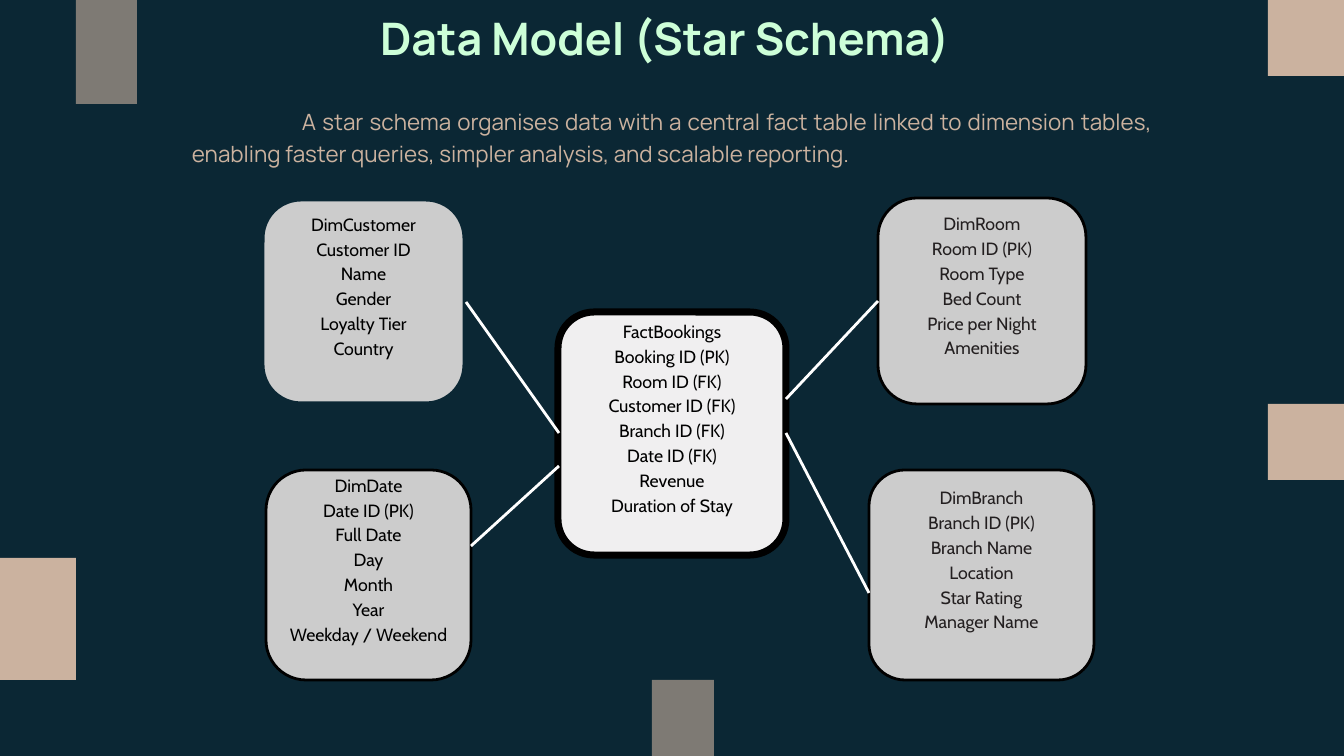
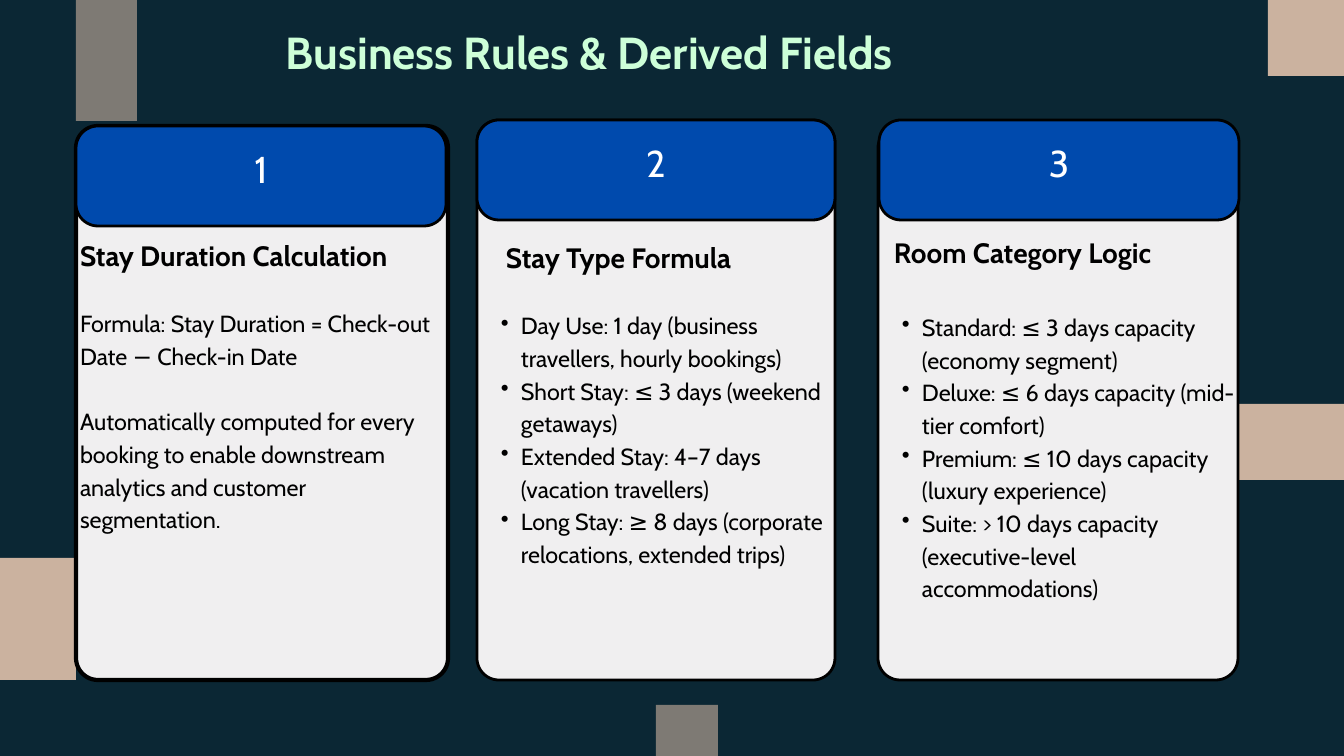
"""Build two slides on a hotel booking data model: star schema and business rules."""
from lxml import etree
from pptx import Presentation
from pptx import util as u
from pptx.dml.color import RGBColor
from pptx.enum import shapes, text
from pptx.oxml import ns

PX = 914400 / 67.2
NAVY = RGBColor(0x0B, 0x27, 0x34)
TAN = RGBColor(0xCB, 0xB2, 0x9F)
MINT = RGBColor(0xCD, 0xFF, 0xD8)
BLUE = RGBColor(0x00, 0x4A, 0xAD)
GREY = RGBColor(0xCC, 0xCC, 0xCC)
PALE = RGBColor(0xF0, 0xEF, 0xF0)
WHITE = RGBColor(0xFF, 0xFF, 0xFF)
BLACK = RGBColor(0x00, 0x00, 0x00)
INK = RGBColor(0x23, 0x1F, 0x20)
CENTER = text.PP_ALIGN.CENTER
LEFT = text.PP_ALIGN.LEFT
JUSTIFY = text.PP_ALIGN.JUSTIFY


def add_box(s, bounds, fill=None, line=None, width=3, radius=0, alpha=100, inset=4):
    """Add a filled box, or a plain text box when there is no fill."""
    x, y, w, h = [u.Emu(round(v * PX)) for v in bounds]
    if fill is None:
        sp = s.shapes.add_textbox(x, y, w, h)
    else:
        kind = shapes.MSO_SHAPE.ROUNDED_RECTANGLE if radius else shapes.MSO_SHAPE.RECTANGLE
        sp = s.shapes.add_shape(kind, x, y, w, h)
        sp.shadow.inherit = False
        sp.fill.solid()
        sp.fill.fore_color.rgb = fill
        if radius:
            sp.adjustments[0] = radius / min(bounds[2:])
        if alpha < 100:
            color = sp.fill._xPr.find(".//" + ns.qn("a:srgbClr"))
            etree.SubElement(color, ns.qn("a:alpha"), val=str(alpha * 1000))
        if line is None:
            sp.line.fill.background()
        else:
            sp.line.color.rgb = line
            sp.line.width = u.Pt(width)
    tf = sp.text_frame
    tf.word_wrap = True
    tf.margin_left = u.Emu(round(inset * PX))
    tf.margin_right = tf.margin_left // 2
    tf.margin_top = tf.margin_bottom = 0
    return sp


def add_text(tf, words, size, color, spacing, font="Cabin", bold=False, align=LEFT,
             before=0, margin=0, indent=0, bullet=False):
    """Add one paragraph, using the first one while the frame is empty."""
    p = tf.add_paragraph() if tf.text else tf.paragraphs[0]
    p.alignment = align
    p.line_spacing = u.Pt(spacing)
    if before:
        p.space_before = u.Pt(before)
    pPr = p._p.get_or_add_pPr()
    pPr.set("marL", str(round(margin * PX)))
    pPr.set("indent", str(round(indent * PX)))
    if bullet:
        etree.SubElement(pPr, ns.qn("a:buChar"), char="•")
    r = p.add_run()
    r.text = words
    r.font.name = font
    r.font.size = u.Pt(size)
    r.font.bold = bold
    r.font.color.rgb = color


prs = Presentation()
prs.slide_width, prs.slide_height = u.Inches(20), u.Inches(11.25)

SHARED_BLOCKS = [(1268, 0, 76, 76), (0, 558, 76, 122)]
SLIDES = [
    dict(title="Data Model (Star Schema)", font="Manrope", align=CENTER,
         at=(185, 2, 960, 63), bands=[(652, 680, 62, 76), (76, 0, 61, 104)],
         right=(1268, 404, 76, 76)),
    dict(title="Business Rules & Derived Fields", font="Cabin", align=LEFT,
         at=(286, 16, 772, 60), bands=[(656, 705, 62, 51), (76, 0, 61, 121)],
         right=(1239, 404, 105, 76)),
]
for look in SLIDES:
    s = prs.slides.add_slide(prs.slide_layouts[6])
    s.background.fill.solid()
    s.background.fill.fore_color.rgb = NAVY
    for block in SHARED_BLOCKS + [look["right"]]:
        add_box(s, block, TAN)
    for band in look["bands"]:
        add_box(s, band, TAN, alpha=60)
    tf = add_box(s, look["at"], inset=0).text_frame
    add_text(tf, look["title"], 48, MINT, 67.2, look["font"], True, look["align"])

schema, rules = prs.slides

intro = add_box(schema, (192, 104, 960, 64), inset=0).text_frame
add_text(intro, "A star schema organises data with a central fact table linked to dimension "
         "tables, enabling faster queries, simpler analysis, and scalable reporting.",
         24, TAN, 33.6, "Manrope", align=JUSTIFY, indent=110)

TABLES = [
    ((558, 312, 228, 243), PALE, BLACK, 7.5, 36, BLACK,
     ["FactBookings", "Booking ID (PK)", "Room ID (FK)", "Customer ID (FK)",
      "Branch ID (FK)", "Date ID (FK)", "Revenue", "Duration of Stay"]),
    ((266, 470, 205, 210), GREY, BLACK, 3, 40, BLACK,
     ["DimDate", "Date ID (PK)", "Full Date", "Day", "Month", "Year", "Weekday / Weekend"]),
    ((878, 198, 208, 206), GREY, BLACK, 3, 39, INK,
     ["DimRoom", "Room ID (PK)", "Room Type", "Bed Count", "Price per Night", "Amenities"]),
    ((261, 198, 205, 207), GREY, NAVY, 7.5, 40, BLACK,
     ["DimCustomer", "Customer ID", "Name", "Gender", "Loyalty Tier", "Country"]),
    ((869, 470, 225, 210), GREY, BLACK, 3, 36, INK,
     ["DimBranch", "Branch ID (PK)", "Branch Name", "Location", "Star Rating",
      "Manager Name"]),
]
ROW = 26.6 / 72 * 67.2
for (x, y, w, h), fill, line, width, radius, color, fields in TABLES:
    add_box(schema, (x, y, w, h), fill, line, width, radius)
    rows_height = len(fields) * ROW
    top = y + h / 2 - 17 - rows_height / 2
    tf = add_box(schema, (x, top, w, rows_height), inset=0).text_frame
    for field in fields:
        add_text(tf, field, 19, color, 26.6, align=CENTER)

LINKS = [(466, 302, 559, 433), (786, 433, 869, 593),
         (471, 546, 559, 466), (786, 399, 878, 301)]
for link in LINKS:
    ends = [u.Emu(round(v * PX)) for v in link]
    cx = schema.shapes.add_connector(shapes.MSO_CONNECTOR.STRAIGHT, *ends)
    cx.line.color.rgb = WHITE
    cx.line.width = u.Pt(3)
    etree.SubElement(cx._element.spPr, ns.qn("a:effectLst"))

CARDS = [
    dict(card=(76, 126, 372, 554), header=(76, 126, 370, 100), width=4.5,
         heading="Stay Duration Calculation", top=233, margin=0, gap=35, bullets=False,
         body=["Formula: Stay Duration = Check-out Date − Check-in Date",
               "Automatically computed for every booking to enable downstream analytics "
               "and customer segmentation."]),
    dict(card=(477, 120, 358, 560), header=(477, 120, 358, 100), width=3,
         heading="Stay Type Formula", top=235, margin=25, gap=35, bullets=True,
         body=["Day Use: 1 day (business travellers, hourly bookings)",
               "Short Stay: ≤ 3 days (weekend getaways)",
               "Extended Stay: 4–7 days (vacation travellers)",
               "Long Stay: ≥ 8 days (corporate relocations, extended trips)"]),
    dict(card=(878, 126, 360, 554), header=(879, 120, 360, 100), width=3,
         heading="Room Category Logic", top=230, margin=12, gap=42, bullets=True,
         body=["Standard: ≤ 3 days capacity (economy segment)",
               "Deluxe: ≤ 6 days capacity (mid-tier comfort)",
               "Premium: ≤ 10 days capacity (luxury experience)",
               "Suite: > 10 days capacity (executive-level accommodations)"]),
]
for number, c in enumerate(CARDS, 1):
    x, y, w, h = c["card"]
    add_box(rules, c["card"], PALE, BLACK, c["width"], 22)
    header = add_box(rules, c["header"], BLUE, BLACK, 3, 22, inset=0).text_frame
    header.vertical_anchor = text.MSO_ANCHOR.MIDDLE
    header.margin_bottom = u.Emu(round(23 * PX))
    add_text(header, str(number), 40, WHITE, 56, align=CENTER)

    tf = add_box(rules, (x, c["top"], w, y + h - c["top"])).text_frame
    add_text(tf, c["heading"], 30, BLACK, 42, bold=True, margin=c["margin"])
    for i, words in enumerate(c["body"]):
        if c["bullets"]:
            add_text(tf, words, 25, BLACK, 35, before=0 if i else c["gap"],
                     margin=40, indent=-20, bullet=True)
        else:
            add_text(tf, words, 25, BLACK, 35, before=c["gap"])

prs.save("out.pptx")
